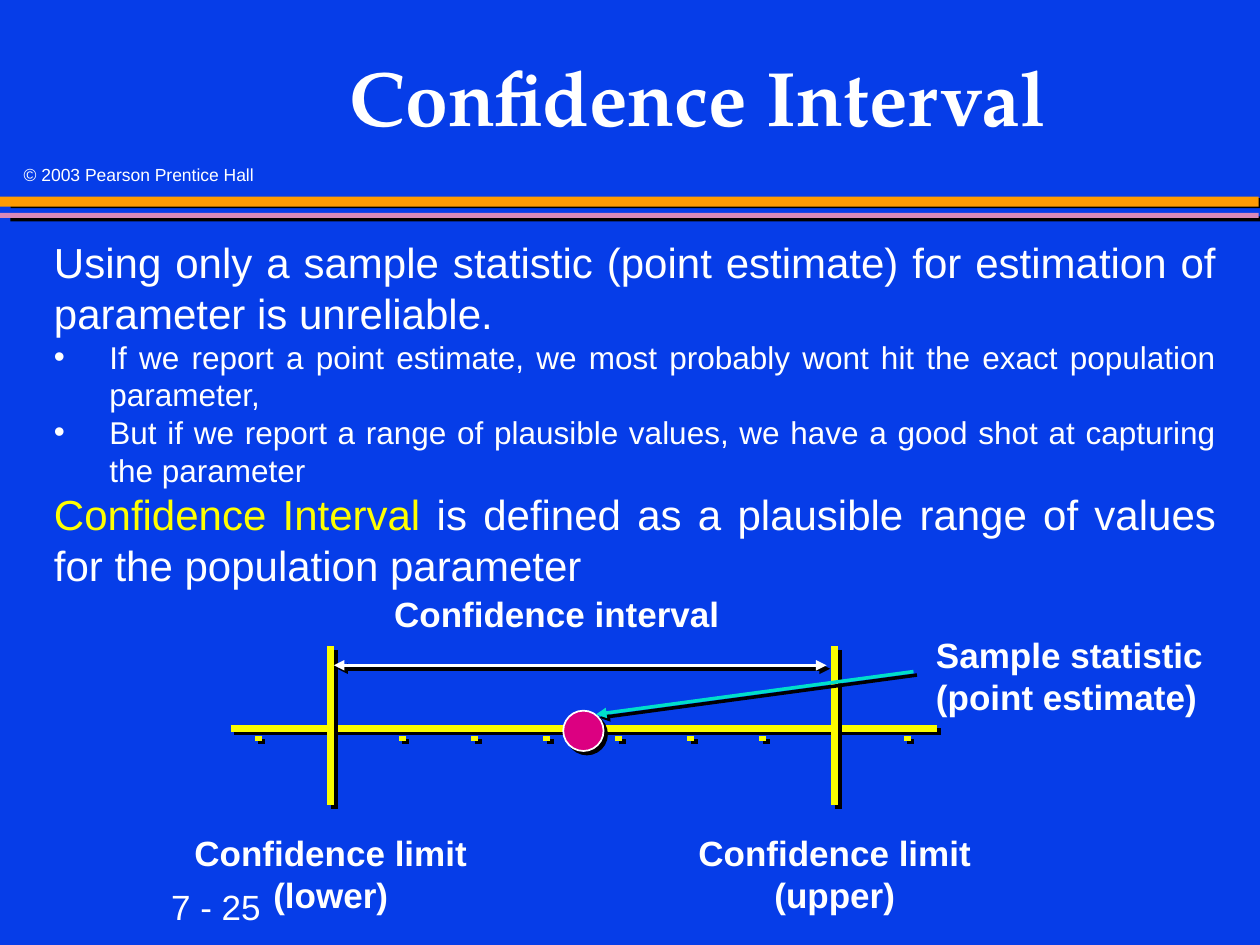
import pptx
import pptx.util
import pptx.dml.color
import pptx.enum.shapes
import pptx.enum.text
import pptx.oxml
import pptx.oxml.ns
import lxml.etree

Inches = pptx.util.Inches
Pt = pptx.util.Pt
ALIGN = pptx.enum.text.PP_ALIGN
SHAPE = pptx.enum.shapes.MSO_SHAPE
STRAIGHT = pptx.enum.shapes.MSO_CONNECTOR.STRAIGHT
WHITE, YELLOW = "FFFFFF", "FAFD00"
LABEL = {"size": Pt(20), "name": "Arial", "bold": True}


def color(value):
    return pptx.dml.color.RGBColor.from_string(value)


def child(parent, tag, **attributes):
    element = lxml.etree.SubElement(parent, pptx.oxml.ns.qn(tag))
    for key, value in attributes.items():
        element.set(key, str(value))
    return element


def cast_shadow(effects, distance, angle):
    shadow = child(effects, "a:outerShdw", blurRad=0, dist=Pt(distance),
                   dir=int(angle * 60000), algn="ctr", rotWithShape=0)
    child(shadow, "a:srgbClr", val="000000")


def add_solid(shapes, preset, box, fill, distance, angle, outline=None):
    solid = shapes.add_shape(preset, *map(Inches, box))
    solid.fill.solid()
    solid.fill.fore_color.rgb = color(fill)
    if outline:
        solid.line.color.rgb = color(outline)
        solid.line.width = Pt(1)
    else:
        solid.line.fill.background()
    solid.shadow.inherit = False
    cast_shadow(solid._element.spPr.find(pptx.oxml.ns.qn("a:effectLst")), distance, angle)


def add_line(shapes, start, end, stroke, width, arrows=()):
    line = shapes.add_connector(STRAIGHT, *map(Inches, (*start, *end)))
    line.line.color.rgb = color(stroke)
    line.line.width = Pt(width)
    for arrow in arrows:
        child(line.line._get_or_add_ln(), arrow, type="triangle")
    cast_shadow(child(line._element.spPr, "a:effectLst"), 2.8, 45)


def add_run(paragraph, text, formats, ink=WHITE):
    run = paragraph.add_run()
    run.text = text
    for key, value in formats.items():
        setattr(run.font, key, value)
    run.font.color.rgb = color(ink)


def add_frame(shapes, box):
    frame = shapes.add_textbox(*map(Inches, box)).text_frame
    frame.word_wrap = True
    return frame


def add_label(shapes, box, lines, formats, align=ALIGN.LEFT):
    frame = add_frame(shapes, box)
    paragraph = frame.paragraphs[0]
    paragraph.alignment = align
    for index, text in enumerate(lines):
        if index:
            paragraph.add_line_break()
        add_run(paragraph, text, formats)
    return frame


def build_header(shapes, box):
    left, top, width, height = box
    for offset, thickness, fill, distance, angle in (
        (1.56, 0.08, "FE9B03", 6.1, 9),
        (1.69, 0.04, "D989B8", 6.3, 18),
    ):
        add_solid(shapes, SHAPE.RECTANGLE, (left, top + offset, width, thickness),
                  fill, distance, angle)
    add_label(shapes, (left + 0.09, top + 1.25, 2.16, 0.26),
              ["© 2003 Pearson Prentice Hall"], {"size": Pt(10), "name": "Arial"})
    title = add_label(shapes, (left + 1.83, top + 0.17, 7.42, 1.25), ["Confidence Interval"],
                      {"size": Pt(44), "name": "TeX Gyre Pagella", "bold": True}, ALIGN.CENTER)
    title.vertical_anchor = pptx.enum.text.MSO_ANCHOR.MIDDLE
    title.paragraphs[0].line_spacing = 0.95


def build_explanation(shapes, box):
    statements = (
        (24, False, [("Using only a sample statistic (point estimate) for estimation of "
                      "parameter is unreliable.", WHITE)]),
        (18, True, [("If we report a point estimate, we most probably wont hit the exact "
                     "population parameter,", WHITE)]),
        (18, True, [("But if we report a range of plausible values, we have a good shot at "
                     "capturing the parameter", WHITE)]),
        (24, False, [("Confidence Interval ", "FFFF00"),
                     ("is defined as a plausible range of values for the population parameter",
                      WHITE)]),
    )
    frame = add_frame(shapes, box)
    for index, (size, bulleted, parts) in enumerate(statements):
        paragraph = frame.add_paragraph() if index else frame.paragraphs[0]
        paragraph.alignment = ALIGN.JUSTIFY
        if bulleted:
            properties = paragraph._p.get_or_add_pPr()
            properties.set("marL", str(Inches(0.44)))
            properties.set("indent", str(-Inches(0.44)))
            child(child(properties, "a:buClr"), "a:srgbClr", val=WHITE)
            child(properties, "a:buFont", typeface="Arial")
            child(properties, "a:buChar", char="•")
        for text, ink in parts:
            add_run(paragraph, text, {"size": Pt(size), "name": "Arial"}, ink)


def build_number_line(shapes, box):
    left, top, width, height = box
    axis = shapes.add_group_shape().shapes
    tick_count, tick_span = 10, 5.15
    for index in range(tick_count):
        x = left + 0.9 + index * tick_span / (tick_count - 1)
        add_line(axis, (x, top + 1.19), (x, top + 1.23), YELLOW, 4)
    add_line(axis, (left + 0.68, top + 1.13), (left + 6.29, top + 1.13), YELLOW, 4)

    add_label(shapes, (left + 1.88, top, 3.5, 0.43), ["Confidence interval"], LABEL)
    add_label(shapes, (left + width - 2.58, top + 0.33, 2.58, 0.77),
              ["Sample statistic", "(point estimate)"], LABEL)
    limit_width = 2.95
    limits = [(left, "lower"), (left + 4, "upper")]
    for x, bound in limits:
        add_label(shapes, (x, top + height - 0.77, limit_width, 0.77),
                  [f"Confidence limit ({bound})"], LABEL, ALIGN.CENTER)
    add_solid(shapes, SHAPE.OVAL, (left + 3.32, top + 0.99, 0.32, 0.32),
              "DC0081", 2.8, 45, WHITE)
    for x, bound in limits:
        middle = x + limit_width / 2
        add_line(shapes, (middle, top + 0.48), (middle, top + 1.74), YELLOW, 4)
    add_line(shapes, (left + 6.1, top + 0.68), (left + 3.58, top + 1.02),
             "00DFCA", 2, ["a:tailEnd"])
    add_line(shapes, (left + 1.5, top + 0.63), (left + 5.41, top + 0.63),
             WHITE, 2, ["a:headEnd", "a:tailEnd"])


def build_page_number(shapes, box):
    add_label(shapes, box, ["7 - 25"], {"size": Pt(20), "name": "Arial"})


def main():
    deck = pptx.Presentation()
    deck.slide_width, deck.slide_height = Inches(10), Inches(7.5)
    slide = deck.slides.add_slide(deck.slide_layouts[6])
    slide.background.fill.solid()
    slide.background.fill.fore_color.rgb = color("063DE8")
    build_header(slide.shapes, (0, 0, 9.99, 1.73))
    build_page_number(slide.shapes, (1.26, 6.98, 0.94, 0.43))
    build_number_line(slide.shapes, (1.15, 4.65, 8.76, 2.67))
    build_explanation(slide.shapes, (0.33, 1.83, 9.42, 2.93))
    deck.save("out.pptx")


if __name__ == "__main__":
    main()
